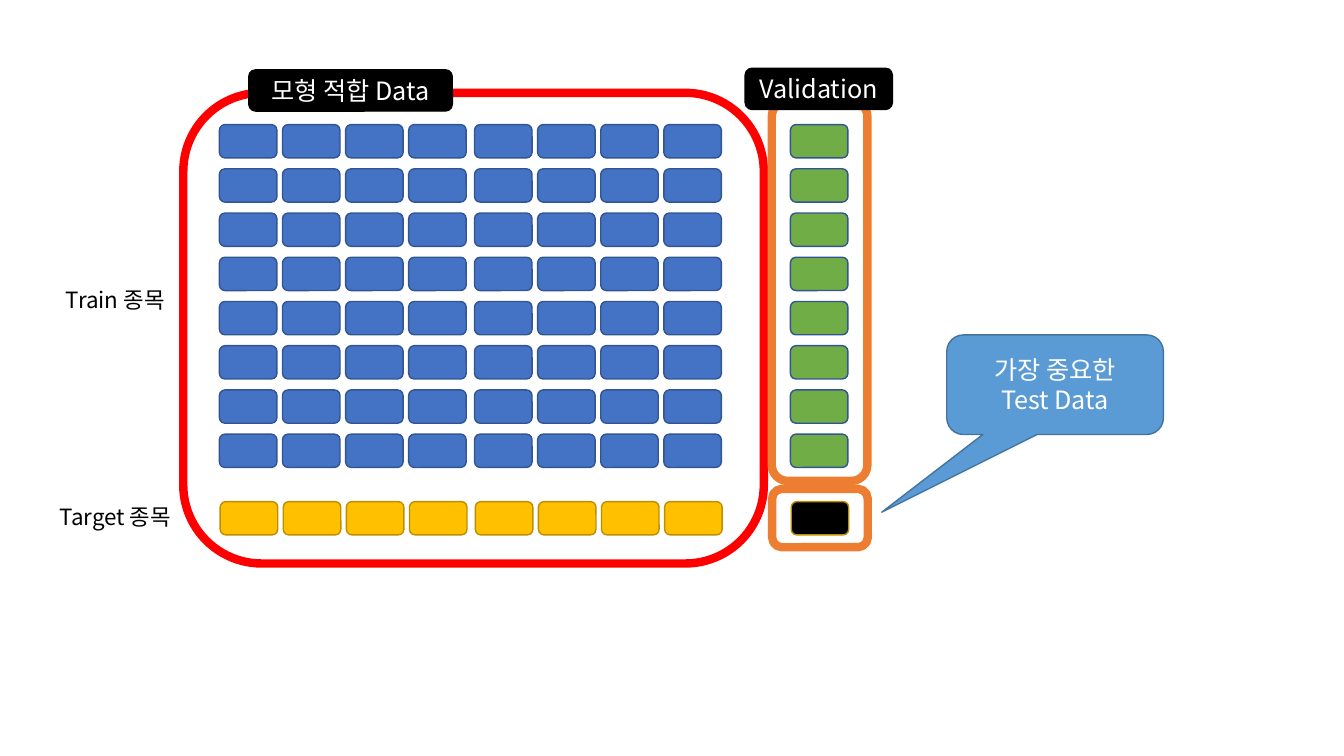
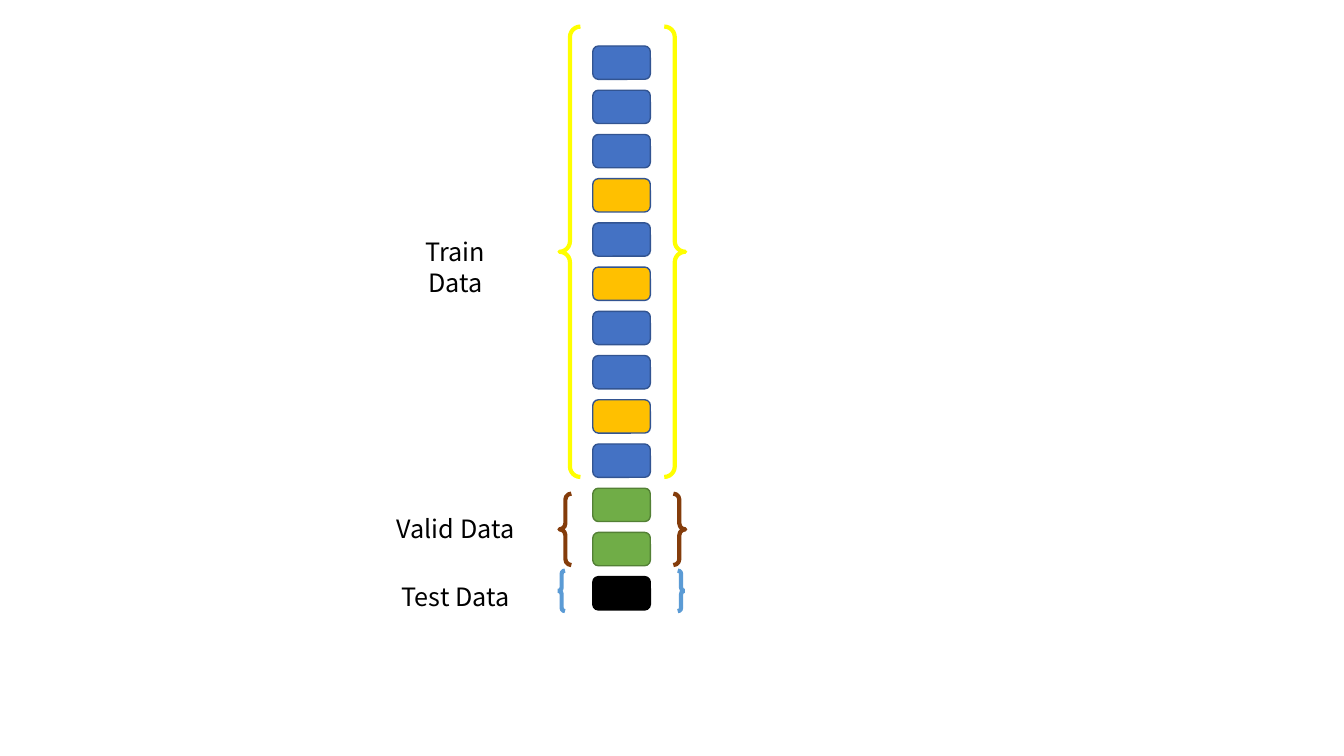
from dataclasses import dataclass
from typing import Optional

from pptx import Presentation
from pptx.dml.color import RGBColor
from pptx.enum.shapes import MSO_SHAPE
from pptx.enum.text import MSO_ANCHOR, MSO_AUTO_SIZE, PP_ALIGN
from pptx.oxml.ns import qn
from pptx.shapes.autoshape import Shape
from pptx.slide import Slide
from pptx.text.text import TextFrame
from pptx.util import Cm, Pt


@dataclass(frozen=True)
class Theme:
    """Colours and type shared by the slides."""
    font: str = "Noto Sans CJK KR"
    label: int = 16
    body: int = 18
    black: str = "000000"
    white: str = "FFFFFF"
    blue: str = "4472C4"
    blue_edge: str = "325491"
    gold: str = "FFC000"
    gold_edge: str = "BD8E00"
    green: str = "70AD47"
    green_edge: str = "538035"
    sky: str = "5B9BD5"
    sky_edge: str = "43739E"
    orange: str = "ED7D31"
    red: str = "FF0000"
    yellow: str = "FFFF00"
    brown: str = "843C0B"


@dataclass(frozen=True)
class Box:
    """Left, top, width and height in centimetres."""
    left: float
    top: float
    width: float
    height: float

    def emu(self) -> tuple:
        """Return the four lengths for python-pptx."""
        return Cm(self.left), Cm(self.top), Cm(self.width), Cm(self.height)


@dataclass(frozen=True)
class Style:
    """Fill, outline colour and outline width of a shape."""
    fill: Optional[str]
    line: str
    weight: float = 1


@dataclass(frozen=True)
class Label:
    """A text and its place."""
    text: str
    box: Box


@dataclass(frozen=True)
class Outline:
    """An unfilled shape around a group of cells."""
    kind: MSO_SHAPE
    box: Box
    color: str
    weight: float
    mitred: bool = False


T = Theme()
TRAIN = Style(T.blue, T.blue_edge)
TARGET = Style(T.gold, T.gold_edge)
MIXED_TARGET = Style(T.gold, T.blue_edge)
VALID_COLUMN = Style(T.green, T.blue_edge)
VALID = Style(T.green, T.green_edge)
TARGET_TEST = Style(T.black, T.gold_edge)
SOLID_BLACK = Style(T.black, T.black)

CELL_W, CELL_H = 1.45, 0.84
ROWS = 8
ROW_PITCH = 7.8 / (ROWS - 1)
COL_PITCH = 1.59
HALF_PITCH = 6.43
COLUMNS = [half * HALF_PITCH + col * COL_PITCH
           for half in range(2) for col in range(4)]


def write(tf: TextFrame, text: str, size: int, color: str) -> None:
    """Write centred text in the theme font."""
    tf.word_wrap = True
    tf.text = text
    for p in tf.paragraphs:
        p.alignment = PP_ALIGN.CENTER
        for r in p.runs:
            r.font.name = T.font
            r.font.size = Pt(size)
            r.font.color.rgb = RGBColor.from_string(color)
            ea = r.font._element.makeelement(qn("a:ea"), {"typeface": T.font})
            r.font._element.find(qn("a:latin")).addnext(ea)


def add_shape(slide: Slide, kind: MSO_SHAPE, box: Box, style: Style,
              text: str = "") -> Shape:
    """Add a preset shape, with white text if any is given."""
    sp = slide.shapes.add_shape(kind, *box.emu())
    sp.shadow.inherit = False
    if style.fill:
        sp.fill.solid()
        sp.fill.fore_color.rgb = RGBColor.from_string(style.fill)
    else:
        sp.fill.background()
    sp.line.color.rgb = RGBColor.from_string(style.line)
    sp.line.width = Pt(style.weight)
    if text:
        sp.text_frame.vertical_anchor = MSO_ANCHOR.MIDDLE
        write(sp.text_frame, text, T.body, T.white)
    return sp


def add_cell(slide: Slide, left: float, top: float, style: Style) -> None:
    """Add one data cell."""
    add_shape(slide, MSO_SHAPE.ROUNDED_RECTANGLE,
              Box(left, top, CELL_W, CELL_H), style)


def add_column(slide: Slide, left: float, top: float,
               styles: list[Style]) -> None:
    """Stack cells at the common row pitch."""
    for row, style in enumerate(styles):
        add_cell(slide, left, top + row * ROW_PITCH, style)


def add_outline(slide: Slide, outline: Outline) -> None:
    """Add a frame or a pair of braces."""
    sp = add_shape(slide, outline.kind, outline.box,
                   Style(None, outline.color, outline.weight))
    if outline.mitred:
        ln = sp.line._get_or_add_ln()
        ln.append(ln.makeelement(qn("a:miter"), {"lim": "800000"}))


def add_label(slide: Slide, label: Label, size: int) -> None:
    """Add a black text box beside the cells."""
    tf = slide.shapes.add_textbox(*label.box.emu()).text_frame
    write(tf, label.text, size, T.black)
    tf.auto_size = MSO_AUTO_SIZE.SHAPE_TO_FIT_TEXT


def build_grid_slide(slide: Slide) -> None:
    """Draw the grid of stocks split into fitting, validation and test data."""
    grid_left, grid_top, target_top = 5.53, 3.14, 12.64
    valid_left, nudge = 19.92, 0.02
    for x in COLUMNS:
        add_column(slide, grid_left + x, grid_top, [TRAIN] * ROWS)
        add_cell(slide, grid_left + nudge + x, target_top, TARGET)
    add_column(slide, valid_left, grid_top, [VALID_COLUMN] * ROWS)
    add_cell(slide, valid_left + nudge, target_top, TARGET_TEST)

    for label in (Label("Train 종목", Box(1.19, 7.09, 3.43, 0.94)),
                  Label("Target 종목", Box(1.19, 12.55, 3.43, 0.94))):
        add_label(slide, label, T.label)

    frame = MSO_SHAPE.ROUNDED_RECTANGLE
    for outline in (Outline(frame, Box(4.62, 2.34, 14.63, 11.86), T.red, 6),
                    Outline(frame, Box(19.45, 2.54, 2.41, 9.58), T.orange, 6),
                    Outline(frame, Box(19.46, 12.32, 2.41, 1.47), T.orange, 6)):
        add_outline(slide, outline)
    for header in (Label("모형 적합 Data", Box(6.27, 1.76, 5.13, 1.04)),
                   Label("Validation", Box(18.78, 1.72, 3.71, 1.04))):
        add_shape(slide, frame, header.box, SOLID_BLACK, header.text)

    callout = add_shape(slide, MSO_SHAPE.ROUNDED_RECTANGULAR_CALLOUT,
                        Box(23.86, 8.44, 5.46, 2.51),
                        Style(T.sky, T.sky_edge), "가장 중요한\nTest Data")
    callout.adjustments[0] = -0.8
    callout.adjustments[1] = 1.28


def build_stack_slide(slide: Slide) -> None:
    """Draw the single stack of train, validation and test cells."""
    train = [TRAIN] * 10
    for row in (3, 5, 8):
        train[row] = MIXED_TARGET
    add_column(slide, 14.94, 1.16, train + [VALID] * 2 + [SOLID_BLACK])

    braces = MSO_SHAPE.DOUBLE_BRACE
    for outline in (
            Outline(braces, Box(14.1, 0.67, 3.17, 11.35), T.yellow, 3),
            Outline(braces, Box(14.1, 12.44, 3.17, 1.8), T.brown, 3),
            Outline(braces, Box(14.07, 14.38, 3.18, 1.02), T.sky, 3, True)):
        add_outline(slide, outline)
    label_center = 11.48
    for text, top, width in (("Train Data", 5.84, 3.45),
                             ("Valid Data", 12.8, 3.6),
                             ("Test Data", 14.53, 3.6)):
        box = Box(label_center - width / 2, top, width, 1.02)
        add_label(slide, Label(text, box), T.body)


def main() -> None:
    """Build and save the presentation."""
    prs = Presentation()
    prs.slide_width, prs.slide_height = Cm(33.87), Cm(19.05)
    blank = prs.slide_layouts[6]
    for build in (build_grid_slide, build_stack_slide):
        build(prs.slides.add_slide(blank))
    prs.save("out.pptx")


main()
